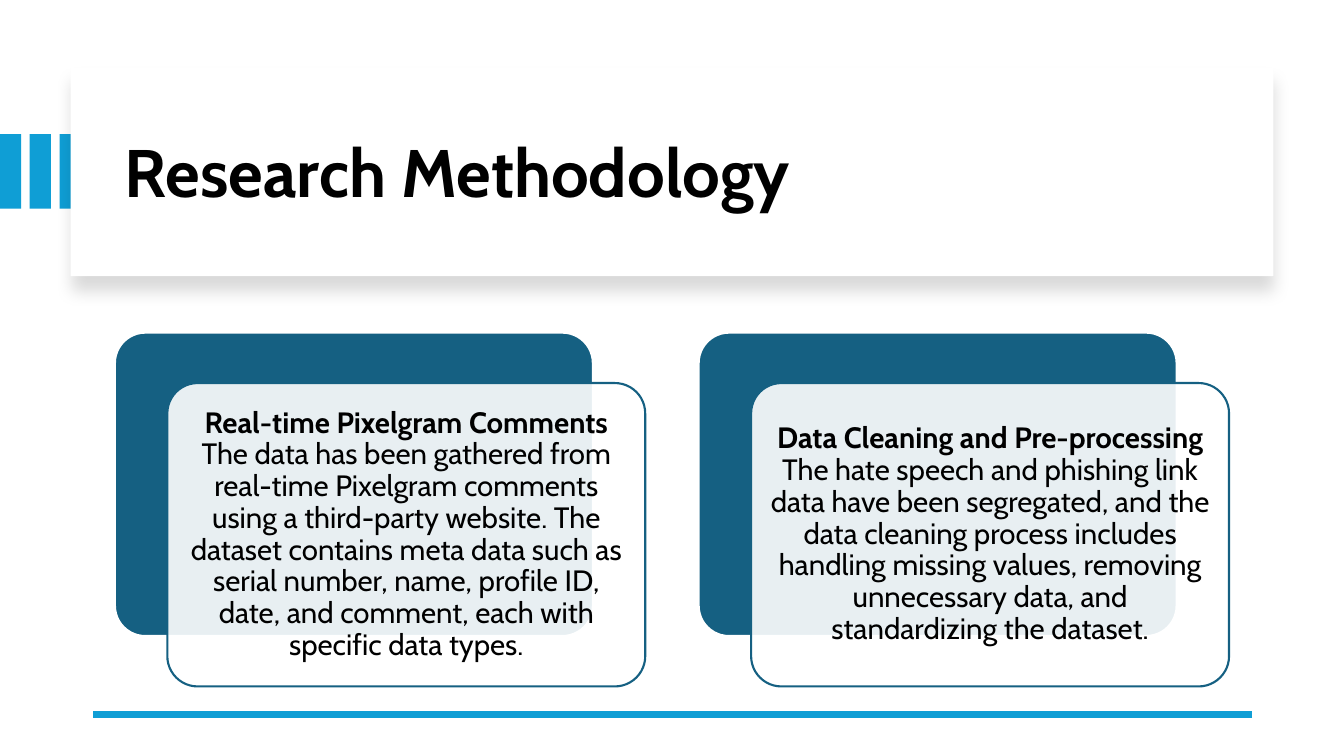
from lxml.etree import SubElement
from pptx import Presentation
from pptx.dml.color import RGBColor
from pptx.enum.shapes import MSO_CONNECTOR as Connector, MSO_SHAPE as Shape
from pptx.enum.text import MSO_ANCHOR as Anchor, PP_ALIGN as Align
from pptx.oxml.ns import qn
from pptx.util import Inches, Pt

TITLE = "Research Methodology"
CARDS = [
    ("Real-time Pixelgram Comments",
     "The data has been gathered from real-time Pixelgram comments using a third-party "
     "website. The dataset contains meta data such as serial number, name, profile ID, "
     "date, and comment, each with specific data types."),
    ("Data Cleaning and Pre-processing",
     "The hate speech and phishing link data have been segregated, and the data cleaning "
     "process includes handling missing values, removing unnecessary data, and "
     "standardizing the dataset."),
]
FONT = "Cabin"
BLACK, WHITE, SKY, TEAL = "000000", "FFFFFF", "0F9ED5", "156082"
WIDTH, HEIGHT = 13.33, 7.5
BAR_COUNT, BAR_PITCH, BAR_TOP, BAR_SIZE = 3, 0.295, 1.33, (0.21, 0.74)
BANNER = (0.7, 0.67, 11.93, 2.07)
TITLE_BOX = (1.14, 0.89, 11.13, 1.7)
CARD_LEFT, CARD_TOP, CARD_PITCH, CARD_SIZE = 1.14, 3.3, 5.79, (4.74, 3.01)
CARD_SHIFT = (0.52, 0.5)
TEXT_MARGIN = 0.09
RULE_LEFT, RULE_RIGHT, RULE_TOP = 0.92, 12.42, 7.09


def color(code):
    return RGBColor.from_string(code)


def add_block(slide, preset, box, fill, line=None):
    shape = slide.shapes.add_shape(preset, *map(Inches, box))
    shape.shadow.inherit = False
    shape.fill.solid()
    shape.fill.fore_color.rgb = color(fill)
    if line:
        shape.line.color.rgb = color(line)
        shape.line.width = Pt(1.5)
        shape.adjustments[0] = 0.1
    else:
        shape.line.fill.background()
    return shape


def add_alpha(color_element, percent):
    SubElement(color_element, qn("a:alpha"), val=str(percent * 1000))


def add_shadow(shape):
    effects = shape._element.spPr.find(qn("a:effectLst"))
    shadow = SubElement(effects, qn("a:outerShdw"), blurRad=str(Pt(11)), dist=str(Pt(10)),
                        dir="5400000", algn="t", rotWithShape="0")
    add_alpha(SubElement(shadow, qn("a:srgbClr"), val=BLACK), 15)


def add_text(slide, box, runs, size, align, margin):
    frame = slide.shapes.add_textbox(*map(Inches, box)).text_frame
    frame.word_wrap = True
    frame.vertical_anchor = Anchor.MIDDLE
    frame.margin_left = frame.margin_right = Inches(margin)
    frame.margin_top = frame.margin_bottom = Inches(margin)
    paragraph = frame.paragraphs[0]
    paragraph.alignment = align
    paragraph.line_spacing = 0.9
    for index, (text, bold) in enumerate(runs):
        if index:
            paragraph.add_line_break()
        run = paragraph.add_run()
        run.text = text
        run.font.name, run.font.size, run.font.bold = FONT, Pt(size), bold
        run.font.color.rgb = color(BLACK)


def add_card(slide, left, heading, body):
    add_block(slide, Shape.ROUNDED_RECTANGLE, (left, CARD_TOP, *CARD_SIZE), TEAL, WHITE)
    front_left, front_top = left + CARD_SHIFT[0], CARD_TOP + CARD_SHIFT[1]
    front = add_block(slide, Shape.ROUNDED_RECTANGLE,
                      (front_left, front_top, *CARD_SIZE), WHITE, TEAL)
    add_alpha(front._element.spPr.find(qn("a:solidFill"))[0], 90)
    inner = [length - 2 * TEXT_MARGIN for length in CARD_SIZE]
    add_text(slide, (front_left + TEXT_MARGIN, front_top + TEXT_MARGIN, *inner),
             [(heading, True), (body, False)], 21, Align.CENTER, TEXT_MARGIN)


def add_rule(slide):
    rule = slide.shapes.add_connector(
        Connector.STRAIGHT, *map(Inches, (RULE_RIGHT, RULE_TOP, RULE_LEFT, RULE_TOP)))
    rule.line.color.rgb = color(SKY)
    rule.line.width = Pt(4.5)
    SubElement(rule._element.spPr, qn("a:effectLst"))


def main():
    """Build the research methodology slide."""
    presentation = Presentation()
    presentation.slide_width, presentation.slide_height = Inches(WIDTH), Inches(HEIGHT)
    slide = presentation.slides.add_slide(presentation.slide_layouts[6])
    for index in range(BAR_COUNT):
        add_block(slide, Shape.RECTANGLE, (index * BAR_PITCH, BAR_TOP, *BAR_SIZE), SKY)
    add_shadow(add_block(slide, Shape.RECTANGLE, BANNER, WHITE))
    add_text(slide, TITLE_BOX, [(TITLE, True)], 48, Align.LEFT, 0.1)
    add_rule(slide)
    for index, (heading, body) in enumerate(CARDS):
        add_card(slide, CARD_LEFT + index * CARD_PITCH, heading, body)
    presentation.save("out.pptx")


if __name__ == "__main__":
    main()
